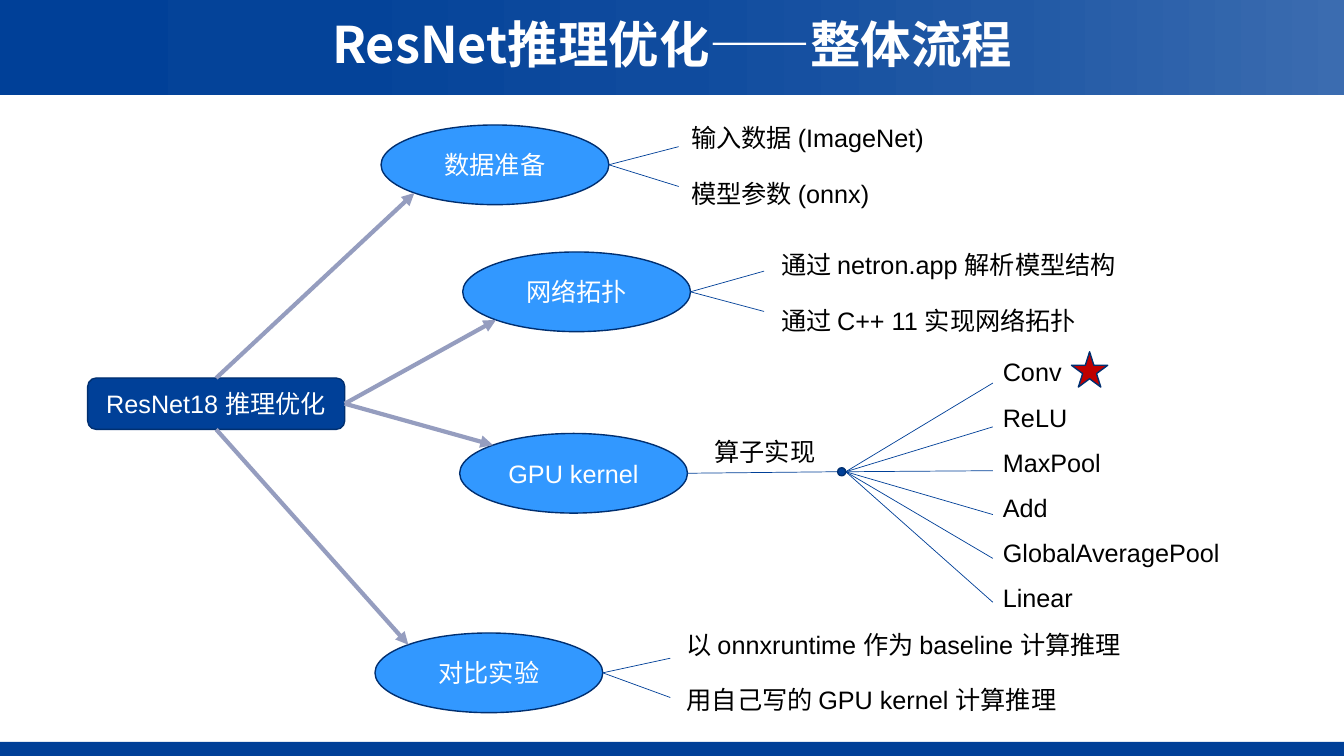
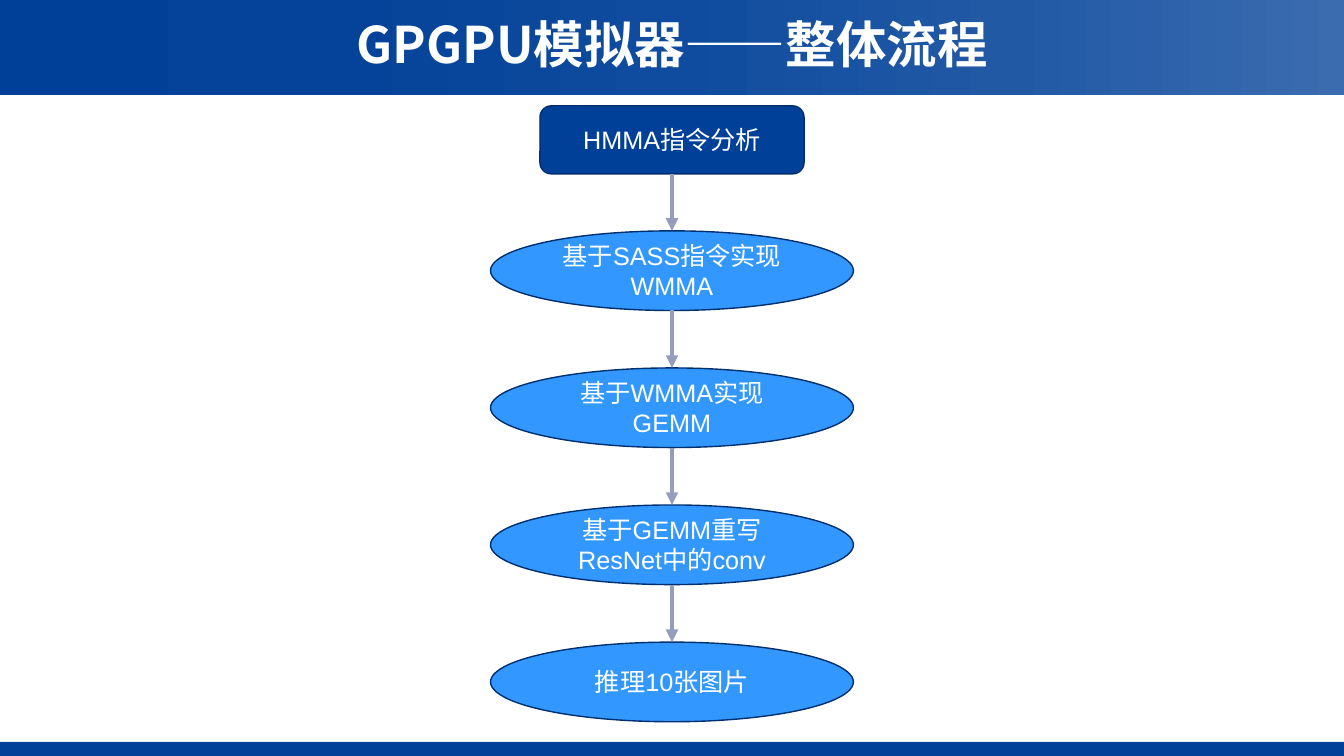
import pptx
import pptx.dml.color
import pptx.enum.shapes
import pptx.enum.text
import pptx.oxml
import pptx.oxml.ns
import pptx.util
from lxml import etree

SHAPE = pptx.enum.shapes.MSO_SHAPE
ALIGN = pptx.enum.text.PP_ALIGN
BLUE, SKY, EDGE, ARROW = "004098", "3298FF", "002F70", "959DBF"
BLACK, WHITE, RED = "000000", "FFFFFF", "C00000"
COLUMNS, ROWS = 40, 30
HEADER_ROWS, FOOTER_ROWS = 3.76, 0.56

deck = pptx.Presentation()
deck.slide_width = pptx.util.Inches(13.33)
deck.slide_height = pptx.util.Inches(7.5)
column, row = deck.slide_width / COLUMNS, deck.slide_height / ROWS
layout = deck.slide_layouts[5]


def place(slide, kind, left, top, width, height, text="", fill=None, edge=None):
    """Add a shape, or a text box when kind is None, in columns and rows."""
    box = [int(n) for n in (left * column, top * row, width * column, height * row)]
    if kind is None:
        shape = slide.shapes.add_textbox(*box)
    else:
        shape = slide.shapes.add_shape(kind, *box)
        shape.shadow.inherit = False
        shape.fill.solid()
        shape.fill.fore_color.rgb = pptx.dml.color.RGBColor.from_string(fill)
        if edge:
            shape.line.color.rgb = pptx.dml.color.RGBColor.from_string(edge)
            shape.line.width = pptx.util.Pt(1)
        else:
            shape.line.fill.background()
    if text:
        shape.text_frame.word_wrap = True
        shape.text_frame.text = text
        paragraph = shape.text_frame.paragraphs[0]
        paragraph.alignment = ALIGN.CENTER if kind else ALIGN.LEFT
        paragraph.font.name = "Arial"
        paragraph.font.size = pptx.util.Pt(18)
        paragraph.font.color.rgb = pptx.dml.color.RGBColor.from_string(WHITE if kind else BLACK)
    return shape


def link(slide, start, end, color=BLUE, points=0.5, arrow=False):
    """Join two (column, row) points with a straight line."""
    line = slide.shapes.add_connector(
        pptx.enum.shapes.MSO_CONNECTOR.STRAIGHT,
        int(start[0] * column), int(start[1] * row), int(end[0] * column), int(end[1] * row))
    line.line.color.rgb = pptx.dml.color.RGBColor.from_string(color)
    line.line.width = pptx.util.Pt(points)
    if arrow:
        head = etree.SubElement(line.line._get_or_add_ln(), pptx.oxml.ns.qn("a:tailEnd"))
        head.set("type", "triangle")
    etree.SubElement(line.element.spPr, pptx.oxml.ns.qn("a:effectLst"))


# Slides with their titles
slides = []
for title in ("ResNet推理优化——整体流程", "GPGPU模拟器——整体流程"):
    slide = deck.slides.add_slide(layout)
    heading = slide.shapes.title
    heading.left, heading.top = 0, 0
    heading.width, heading.height = deck.slide_width, int(HEADER_ROWS * row)
    frame = heading.text_frame
    frame.text = title
    frame.word_wrap = True
    frame.auto_size = pptx.enum.text.MSO_AUTO_SIZE.NONE
    frame.vertical_anchor = pptx.enum.text.MSO_ANCHOR.MIDDLE
    paragraph = frame.paragraphs[0]
    paragraph.alignment = ALIGN.CENTER
    paragraph.line_spacing = 0.9
    paragraph.font.name = "Noto Sans CJK SC"
    paragraph.font.size = pptx.util.Pt(36)
    paragraph.font.bold = True
    paragraph.font.color.rgb = pptx.dml.color.RGBColor.from_string(WHITE)
    slides.append(slide)
overview, simulator = slides

# Bands shared through the layout; the header pales towards the right
header = place(overview, SHAPE.RECTANGLE, 0, 0, COLUMNS, HEADER_ROWS, fill=BLUE)
footer = place(overview, SHAPE.RECTANGLE, 0, ROWS - FOOTER_ROWS, COLUMNS, FOOTER_ROWS, fill=BLUE)
header.fill.gradient()
header.fill.gradient_angle = 0
stops = header.element.find(".//" + pptx.oxml.ns.qn("a:gsLst"))
stops.clear()
for share in (0, 0.25, 0.5, 0.75, 1):
    pale = 0.23 * share ** 2
    channels = [round(c + (255 - c) * pale) for c in bytes.fromhex(BLUE)]
    stop = etree.SubElement(stops, pptx.oxml.ns.qn("a:gs"), pos=str(int(share * 100000)))
    etree.SubElement(stop, pptx.oxml.ns.qn("a:srgbClr"), val=bytes(channels).hex().upper())
for band in (header, footer):
    layout.shapes.element.append(band.element)

# Slide 1: mind map
root_left, root_top, root_width, root_height = 2.61, 15, 7.65, 2.04
root_center, root_right = root_left + root_width / 2, root_left + root_width
root_bottom, root_middle = root_top + root_height, root_top + root_height / 2
topic_width, topic_height = 6.78, 3.16
label_height = 1.6
place(overview, SHAPE.ROUNDED_RECTANGLE, root_left, root_top, root_width, root_height,
      "ResNet18 推理优化", BLUE, EDGE)

# name, left, top, arrow start, side of the topic the arrow meets (-1 top, 1 bottom)
topics = [
    ("数据准备", 11.34, 4.96, (root_center, root_top), 1),
    ("网络拓扑", 13.77, 10, (root_right, root_middle), 1),
    ("GPU kernel", 13.68, 17.2, (root_right, root_middle), -1),
    ("对比实验", 11.16, 25.12, (root_center, root_bottom), -1),
]
topic_right = {}
for name, left, top, start, side in topics:
    place(overview, SHAPE.OVAL, left, top, topic_width, topic_height, name, SKY, EDGE)
    middle = top + topic_height / 2
    topic_right[name] = (left + topic_width, middle)
    diagonal = 0.5 ** 0.5 / 2
    end = (left + topic_width * (0.5 - diagonal), middle + side * topic_height * diagonal)
    link(overview, start, end, ARROW, 3, arrow=True)

# Fans: start, line end column, first row, row step, label column, first row, row step, labels
hub_size = (0.24, 0.32)
hub = (25.05, 18.72)
hub_left, hub_right = hub[0] - hub_size[0] / 2, hub[0] + hub_size[0] / 2
fans = [
    (topic_right["数据准备"], 20.2, 5.82, 1.58, 20.28, 4.64, 2.26,
     ["输入数据 (ImageNet)", "模型参数 (onnx)"]),
    (topic_right["网络拓扑"], 22.74, 10.76, 1.6, 22.95, 9.68, 2.24,
     ["通过 netron.app 解析模型结构", "通过 C++ 11 实现网络拓扑"]),
    ((hub_right, hub[1]), 29.55, 15.2, 1.74, 29.55, 13.96, 1.79,
     ["Conv", "ReLU", "MaxPool", "Add", "GlobalAveragePool", "Linear"]),
    (topic_right["对比实验"], 19.95, 26.12, 1.56, 20.14, 24.76, 2.2,
     ["以 onnxruntime 作为 baseline 计算推理", "用自己写的 GPU kernel 计算推理"]),
]
for start, end_column, end_row, end_step, left, top, step, labels in fans:
    for i, label in enumerate(labels):
        link(overview, start, (end_column, end_row + i * end_step))
        place(overview, None, left, top + i * step, min(15.4, COLUMNS - left), label_height, label)

link(overview, topic_right["GPU kernel"], (hub_left, hub[1]))
place(overview, SHAPE.OVAL, hub_left, hub[1] - hub_size[1] / 2, *hub_size, fill=BLUE, edge=EDGE)
place(overview, None, 20.97, 17.12, 3.9, label_height, "算子实现")
place(overview, SHAPE.STAR_5_POINT, 31.89, 13.96, 1.08, 1.4, fill=RED, edge=EDGE)

# Slide 2: vertical flow
start_width, start_top, start_height = 7.86, 4.2, 2.7
step_width, step_top, step_pitch = 10.8, 9.16, 5.44
place(simulator, SHAPE.ROUNDED_RECTANGLE, (COLUMNS - start_width) / 2, start_top,
      start_width, start_height, "HMMA指令分析", BLUE, EDGE)
bottom = start_top + start_height
steps = ["基于SASS指令实现WMMA", "基于WMMA实现GEMM", "基于GEMM重写ResNet中的conv", "推理10张图片"]
for i, step in enumerate(steps):
    top = step_top + i * step_pitch
    place(simulator, SHAPE.OVAL, (COLUMNS - step_width) / 2, top, step_width, topic_height,
          step, SKY, EDGE)
    link(simulator, (COLUMNS / 2, bottom), (COLUMNS / 2, top), ARROW, 3, arrow=True)
    bottom = top + topic_height

deck.save("out.pptx")
